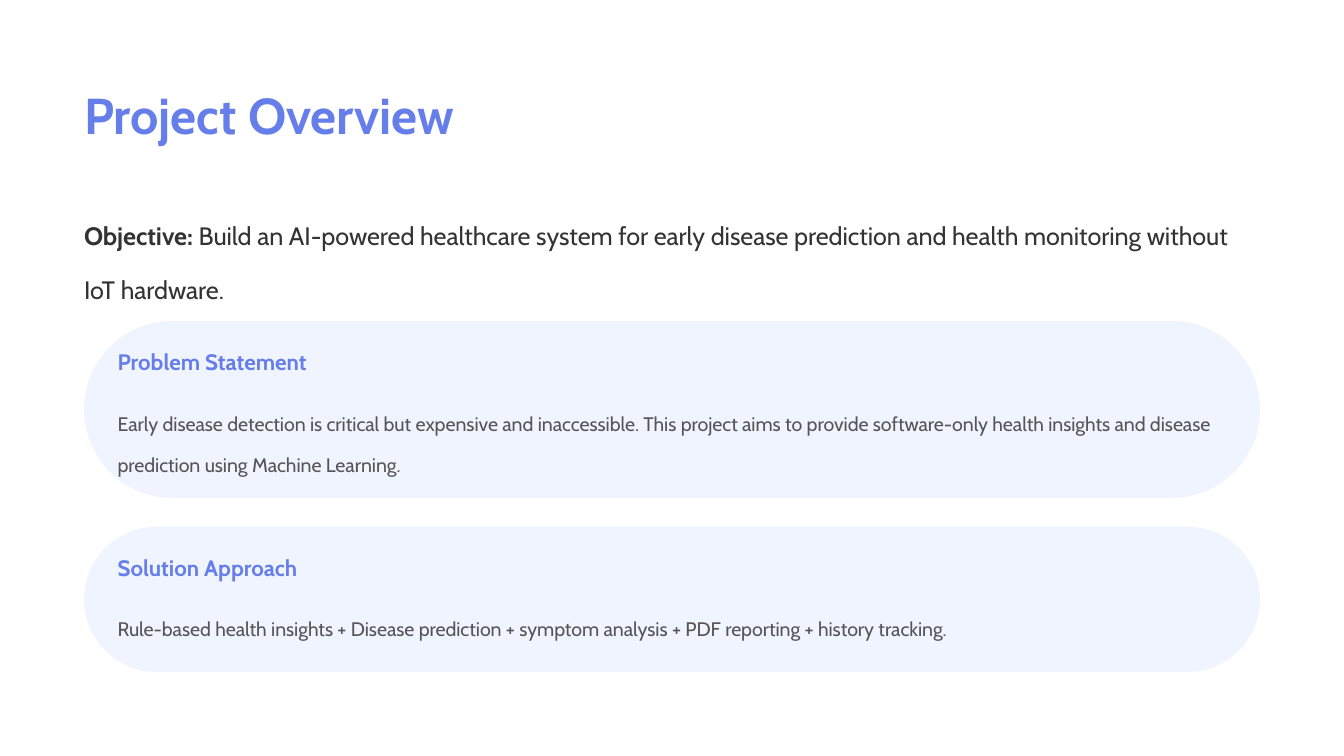
from pptx import Presentation
from pptx import util as u
from pptx.dml.color import RGBColor
from pptx.enum import shapes, text

ACCENT = RGBColor(0x66, 0x7E, 0xEA)
INK = RGBColor(0x33, 0x33, 0x33)
MUTED = RGBColor(0x55, 0x55, 0x55)
PANEL = RGBColor(0xF0, 0xF4, 0xFF)
WHITE = RGBColor(0xFF, 0xFF, 0xFF)

# The slide is a grid of 16 columns and 9 rows of square cells
CELL = 0.625
COLUMNS, ROWS = 16, 9
MARGIN, CONTENT = 1, 14


def cells(count):
    return u.Inches(count * CELL)


class OverviewPage:
    font = "Cabin"

    def __init__(self, deck):
        self.page = deck.slides.add_slide(deck.slide_layouts[5])
        self.page.background.fill.solid()
        self.page.background.fill.fore_color.rgb = WHITE

    def set_text(self, box, spans, size, color, leading):
        """Fill a box with one paragraph of (wording, bold) spans."""
        frame = box.text_frame
        frame.word_wrap = True
        frame.auto_size = text.MSO_AUTO_SIZE.NONE
        frame.vertical_anchor = text.MSO_ANCHOR.TOP
        frame.margin_left = frame.margin_right = 0
        frame.margin_top = frame.margin_bottom = 0
        para = frame.paragraphs[0]
        para.alignment = text.PP_ALIGN.LEFT
        para.line_spacing = u.Pt(leading)
        for wording, bold in spans:
            span = para.add_run()
            span.text = wording
            span.font.name = self.font
            span.font.size = u.Pt(size)
            span.font.bold = bold
            span.font.color.rgb = color

    def title(self, wording, row):
        box = self.page.shapes.title
        box.left, box.top = cells(MARGIN), cells(row)
        box.width, box.height = cells(CONTENT), cells(0.8)
        self.set_text(box, [(wording, True)], 27, ACCENT, 32.4)

    def label(self, spans, column, row, width, height, size, color, leading):
        box = self.page.shapes.add_textbox(
            cells(column), cells(row), cells(width), cells(height))
        self.set_text(box, spans, size, color, leading)

    def card(self, heading, body, row, height, body_height):
        panel = self.page.shapes.add_shape(
            shapes.MSO_SHAPE.ROUNDED_RECTANGLE,
            cells(MARGIN), cells(row), cells(CONTENT), cells(height))
        panel.adjustments[0] = 0.5
        panel.shadow.inherit = False
        panel.fill.solid()
        panel.fill.fore_color.rgb = PANEL
        panel.line.fill.background()

        column, width = MARGIN + 0.4, 13.26
        self.label([(heading, True)], column, row + 0.33, width, 0.37,
                   12, ACCENT, 14.4)
        self.label([(body, False)], column, row + 0.86, width, body_height,
                   10.5, MUTED, 22.4)


def main():
    deck = Presentation()
    deck.slide_width, deck.slide_height = cells(COLUMNS), cells(ROWS)
    overview = OverviewPage(deck)

    # Title and objective
    overview.title("Project Overview", 1)
    overview.label(
        [("Objective:", True),
         (" Build an AI-powered healthcare system for early disease "
          "prediction and health monitoring without IoT hardware.", False)],
        MARGIN, 2.34, CONTENT, 0.96, 13.5, INK, 28.8)

    # Stacked cards: heading, body, card height, body height
    cards = [
        ("Problem Statement",
         "Early disease detection is critical but expensive and inaccessible. "
         "This project aims to provide software-only health insights and "
         "disease prediction using Machine Learning.", 2.11, 0.75),
        ("Solution Approach",
         "Rule-based health insights + Disease prediction + symptom analysis "
         "+ PDF reporting + history tracking.", 1.73, 0.37),
    ]
    row, gap = 3.82, 0.34
    for heading, body, height, body_height in cards:
        overview.card(heading, body, row, height, body_height)
        row += height + gap

    deck.save("out.pptx")


if __name__ == "__main__":
    main()
